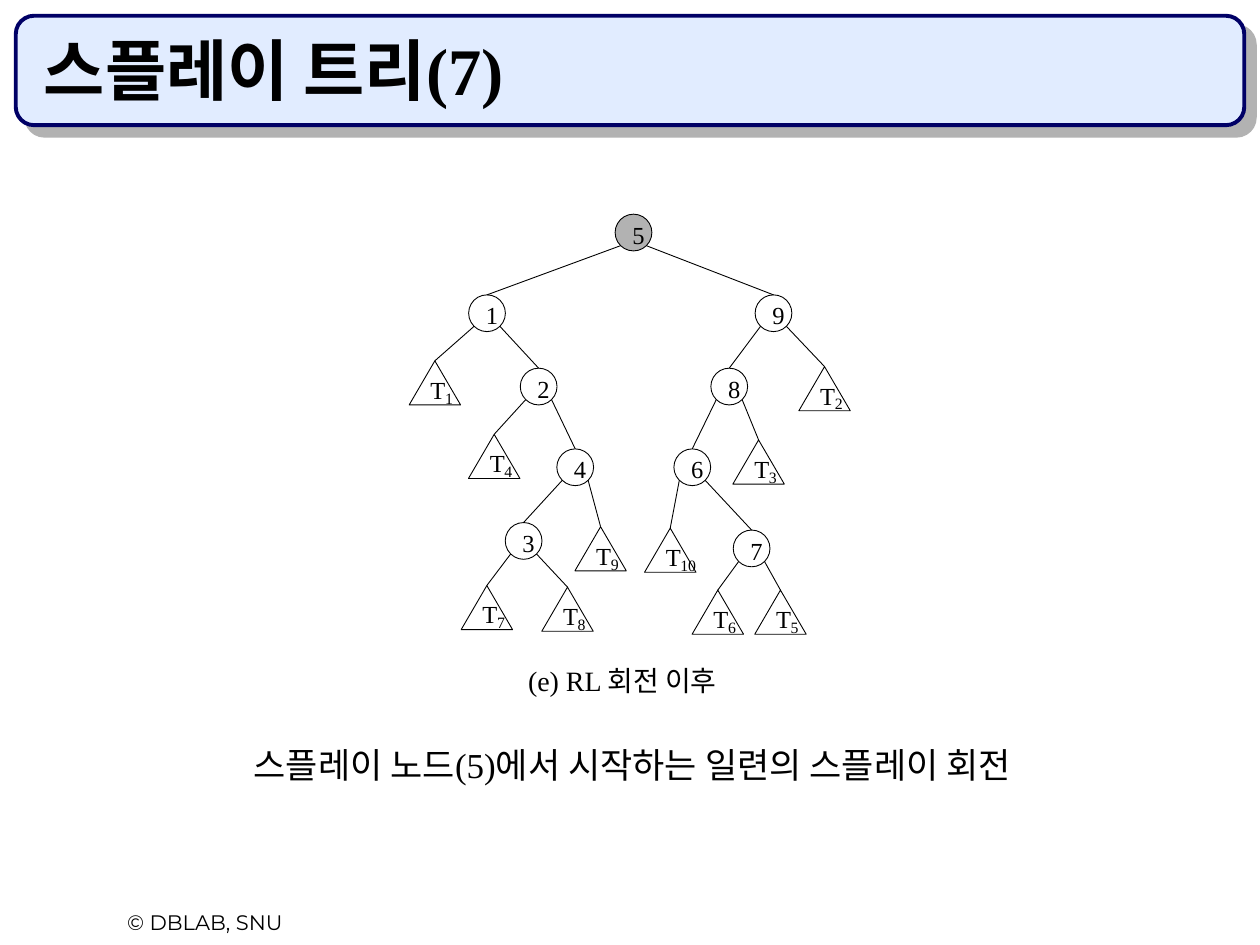
"""Build a slide showing a splay tree after its last rotation."""
import dataclasses
import typing

import lxml.etree
import pptx
import pptx.dml.color
import pptx.enum.shapes
import pptx.enum.text
import pptx.oxml.ns
import pptx.util

Pt = pptx.util.Pt
Shape = pptx.enum.shapes.MSO_SHAPE
Align = pptx.enum.text.PP_ALIGN
Anchor = pptx.enum.text.MSO_ANCHOR
qn = pptx.oxml.ns.qn

SERIF = "Times New Roman"
BLACK = "000000"
GREY = "B2B2B2"
SIZE = 21
BASE, RISE = 29.4, 25.2


@dataclasses.dataclass
class Node:
    key: str
    x: float
    y: float
    up: str = ""
    side: int = 0
    fill: typing.Optional[str] = None


@dataclasses.dataclass
class Leaf:
    key: str
    x: float
    y: float
    up: str
    side: int


NODES = [
    Node("5", 362, 122.4, fill=GREY),
    Node("1", 278.3, 168.5, "5", -1),
    Node("9", 442, 168.5, "5", 1),
    Node("2", 307.8, 210.4, "1", 1),
    Node("8", 416.7, 210.4, "9", -1),
    Node("4", 328.7, 256.5, "2", 1),
    Node("6", 395.6, 256.5, "8", -1),
    Node("3", 299.2, 298.6, "4", -1),
    Node("7", 429.5, 302.9, "6", 1),
]
LEAVES = [
    Leaf("1", 248.5, 206.2, "1", -1),
    Leaf("2", 471.2, 209.5, "9", 1),
    Leaf("3", 433.5, 251.4, "8", 1),
    Leaf("4", 282.4, 248.2, "2", -1),
    Leaf("5", 446, 337.2, "7", 1),
    Leaf("6", 410.2, 337.2, "7", -1),
    Leaf("7", 278.2, 334.6, "3", -1),
    Leaf("8", 324.3, 335.5, "3", 1),
    Leaf("9", 343.2, 301, "4", 1),
    Leaf("10", 383, 301.8, "6", -1),
]


def tint(code: str) -> pptx.dml.color.RGBColor:
    """Turn a hex string into a colour."""
    return pptx.dml.color.RGBColor.from_string(code)


def write(slide, text: str, x: float, y: float, w: float, h: float, *,
          size: float, font: str = SERIF, bold: bool = False, wrap: bool = False,
          align=Align.CENTER, anchor=Anchor.TOP, pad: tuple = (0, 0)) -> None:
    """Add a text box holding one paragraph."""
    frame = slide.shapes.add_textbox(Pt(x), Pt(y), Pt(w), Pt(h)).text_frame
    frame.word_wrap = wrap
    frame.vertical_anchor = anchor
    frame.margin_left = frame.margin_right = Pt(pad[0])
    frame.margin_top = frame.margin_bottom = Pt(pad[1])
    para = frame.paragraphs[0]
    para.alignment = align
    run = para.add_run()
    run.text = text
    run.font.name = font
    run.font.size = Pt(size)
    run.font.bold = bold
    run.font.color.rgb = tint(BLACK)


def draw(slide, kind, x: float, y: float, w: float, h: float, *,
         fill: typing.Optional[str] = None, line: str = BLACK, width: float = 0.5):
    """Add a preset shape without a shadow."""
    shape = slide.shapes.add_shape(kind, Pt(x), Pt(y), Pt(w), Pt(h))
    shape.shadow.inherit = False
    if fill:
        shape.fill.solid()
        shape.fill.fore_color.rgb = tint(fill)
    else:
        shape.fill.background()
    shape.line.color.rgb = tint(line)
    shape.line.width = Pt(width)
    return shape


def shade(shape, code: str, gap: float) -> None:
    """Cast a hard shadow down and to the right."""
    effect = shape._element.spPr.find(qn("a:effectLst"))
    outer = lxml.etree.SubElement(
        effect, qn("a:outerShdw"), dist=str(int(Pt(gap))),
        dir=str(45 * 60000), algn="ctr", rotWithShape="0")
    lxml.etree.SubElement(outer, qn("a:srgbClr"), val=code)


def link(slide, top: Node, side: int, child) -> None:
    """Join the lower side of a node to the top of its child."""
    line = slide.shapes.add_connector(
        pptx.enum.shapes.MSO_CONNECTOR.STRAIGHT,
        Pt(top.x + side * 7.4), Pt(top.y + 18), child.left, child.top)
    line.end_connect(child, 0)
    line.line.color.rgb = tint(BLACK)
    line.line.width = Pt(0.5)
    lxml.etree.SubElement(line._element.spPr, qn("a:effectLst"))


def ring(slide, node: Node):
    """Draw a node as a circle with its key."""
    shape = draw(slide, Shape.OVAL, node.x - SIZE / 2, node.y, SIZE, SIZE, fill=node.fill)
    write(slide, node.key, node.x - 0.7, node.y + 3.2, 7, 16.6, size=14)
    return shape


def wedge(slide, leaf: Leaf):
    """Draw a subtree as a triangle with its label."""
    shape = draw(slide, Shape.ISOSCELES_TRIANGLE, leaf.x - BASE / 2, leaf.y, BASE, RISE)
    write(slide, "T", leaf.x - 2.5, leaf.y + 8, 8.6, 16.6, size=14)
    write(slide, leaf.key, leaf.x + 5.8, leaf.y + 15.8, 4.5 * len(leaf.key), 10.8, size=9)
    return shape


def main() -> None:
    """Build and save the slide."""
    deck = pptx.Presentation()
    deck.slide_width, deck.slide_height = Pt(720), Pt(540)
    slide = deck.slides.add_slide(deck.slide_layouts[6])

    band = draw(slide, Shape.ROUNDED_RECTANGLE, 9, 9, 702, 62.5,
                fill="E1ECFF", line="000066", width=2.25)
    shade(band, GREY, 8.5)
    pad = (7.2, 3.6)
    write(slide, "스플레이 트리(7)", 18, 18, 678, 48, size=38, bold=True, wrap=True,
          align=Align.LEFT, anchor=Anchor.BOTTOM, pad=pad)

    tops = {node.key: node for node in NODES}
    for items, plot in ((NODES, ring), (LEAVES, wedge)):
        for item in items:
            shape = plot(slide, item)
            if item.up:
                link(slide, tops[item.up], item.side, shape)

    write(slide, "(e) RL 회전 이후", 292.3, 375.8, 126.7, 26.6, size=16, pad=pad)
    write(slide, "스플레이 노드(5)에서 시작하는 일련의 스플레이 회전",
          130.3, 421.2, 462.2, 31.7, size=20, pad=pad)
    write(slide, "© DBLAB, SNU", 30, 516.2, 174.2, 21.6, size=12,
          font="Montserrat", wrap=True, pad=pad)
    deck.save("out.pptx")


if __name__ == "__main__":
    main()
